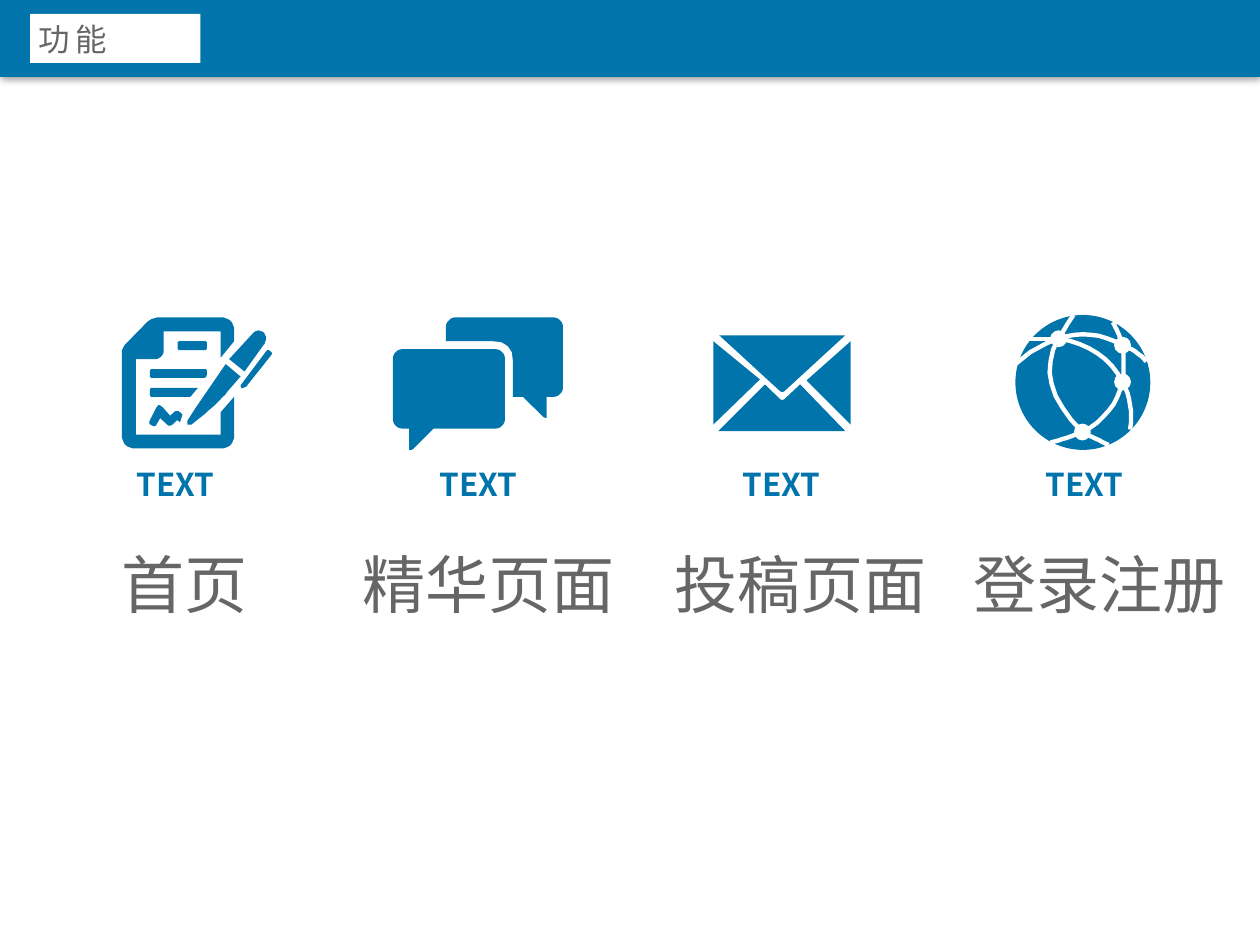
from lxml.etree import SubElement
from pptx import Presentation
from pptx.dml.color import RGBColor
from pptx.enum.shapes import MSO_SHAPE
from pptx.enum.text import MSO_ANCHOR, MSO_AUTO_SIZE as AUTO, PP_ALIGN
from pptx.oxml.ns import qn
from pptx.util import Cm, Pt

FONT = "Noto Sans CJK SC"
COLORS = {"blue": "0174AB", "white": "FFFFFF", "grey": "666666", "black": "000000"}
TITLE = {"size": Pt(18), "bold": False}
LABEL = {"size": Pt(18), "bold": True}
CAPTION = {"size": Pt(36), "bold": False}
CAPTIONS = [("首页", 2.21, 4.85), ("精华页面", 7.06, 6.86),
            ("投稿页面", 13.34, 6.12), ("登录注册", 19.38, 5.97)]

DOCUMENT = [
    [(4.45, 7.21), (4.45, 6.68), (3.3, 6.68), (3.3, 7.24, 0.2), (2.74, 7.24),
     (2.74, 8.76), (4.45, 8.76), (4.45, 8.31), (4.72, 8), (4.72, 9.04, 0.28),
     (2.46, 9.04, 0.28), (2.46, 7.01, 0.1), (3.06, 6.4, 0.15),
     (4.72, 6.4, 0.28), (4.72, 6.88)],
    [(4.55, 7.34), (4.85, 7.59), (4.39, 8.13, 0.3), (3.86, 8.56), (3.78, 8.56),
     (3.78, 8.48), (3.94, 8.23)],
    [(4.93, 7.49), (4.62, 7.24), (5.21, 6.6, 0.18), (5.42, 6.81, 0.18)],
    [(3.02, 7.44, 0.04), (4.17, 7.44, 0.04), (4.17, 7.62, 0.08), (3.02, 7.62, 0.04)],
    [(3.02, 7.82, 0.04), (3.99, 7.82), (3.84, 8), (3.02, 8, 0.04)],
    [(2.99, 8.53, 0.06), (3.2, 8.13, 0.1), (3.43, 8.38), (3.57, 8.26, 0.08),
     (3.68, 8.36), (3.63, 8.51), (3.57, 8.47), (3.42, 8.61, 0.08),
     (3.23, 8.43), (3.12, 8.62, 0.08)],
    [(4.85, 7.77), (5.4, 7.04, 0.06), (5.5, 7.12, 0.06), (4.96, 7.8), (4.87, 7.83)],
    [(3.58, 6.88, 0.04), (4.17, 6.88, 0.04), (4.17, 7.06, 0.04), (3.58, 7.06, 0.04)],
]
CHAT = [
    [(7.92, 7.04, 0.23), (10.18, 7.04, 0.23), (10.18, 8.64, 0.23), (8.74, 8.64),
     (8.31, 9.07, 0.03), (8.25, 9.07), (8.25, 8.64), (7.92, 8.64, 0.23)],
    [(11.02, 8), (11.02, 8.43), (10.96, 8.41), (10.54, 8), (10.34, 8),
     (10.34, 6.88, 0.4), (8.99, 6.88), (8.99, 6.4, 0.23), (11.35, 6.4, 0.23),
     (11.35, 8, 0.23)],
]
ENVELOPE = [
    [(14.5, 6.76), (17.04, 6.76), (15.77, 7.92, 0.05)],
    [(14.48, 8.69), (17.04, 8.69), (16.13, 7.75), (15.77, 8.08, 0.05), (15.42, 7.75)],
    [(14.38, 6.88), (15.32, 7.65), (14.38, 8.56)],
    [(17.15, 6.88), (16.26, 7.67), (17.15, 8.56)],
]
WEST, NORTH, EAST, SOUTH = NODES = [
    (21.34, 6.83), (22.63, 6.96), (22.63, 7.7), (21.82, 8.71)]
ARCS = [
    (WEST, (20.82, 7.72), SOUTH), (SOUTH, (22.48, 8.36), EAST),
    (WEST, (22.26, 6.97), EAST), (WEST, (22, 6.6), NORTH),
    (WEST, (20.85, 6.99), (20.47, 7.34)), (WEST, (21.04, 6.83), (20.75, 6.83)),
    (WEST, (21.48, 6.6), (21.64, 6.35)), (NORTH, (22.53, 6.65), (22.43, 6.5)),
    (NORTH, (22.91, 7.06), (23.11, 7.29)), (NORTH, (22.68, 7.37), EAST),
    (EAST, (22.86, 8.13), (22.78, 8.66)), (SOUTH, (21.5, 8.84), (21.18, 8.92)),
    (SOUTH, (22.08, 8.84), (22.35, 8.97)),
]


def rgb(name):
    """Return a palette colour."""
    return RGBColor.from_string(COLORS[name])


def paint(sp, color):
    """Give a shape a flat fill with no line or shadow."""
    sp.shadow.inherit = False
    sp.fill.solid()
    sp.fill.fore_color.rgb = rgb(color)
    sp.line.fill.background()


def add_preset(shapes, kind, box, color):
    """Add a flat preset shape."""
    sp = shapes.add_shape(kind, *map(Cm, box))
    paint(sp, color)
    return sp


def bend(a, c, b, steps=8):
    """Sample a quadratic curve from a to b with control point c."""
    ts = [i / steps for i in range(steps + 1)]
    return [tuple((1 - t) ** 2 * u + 2 * t * (1 - t) * v + t * t * w
                  for u, v, w in zip(a, c, b)) for t in ts]


def toward(a, b, dist):
    """Return the point that lies dist from a on the way to b."""
    dx, dy = b[0] - a[0], b[1] - a[1]
    k = dist / (dx * dx + dy * dy) ** 0.5
    return a[0] + k * dx, a[1] + k * dy


def rounded(corners):
    """Turn corners with optional radii into outline points."""
    pts = []
    for i, (x, y, *radius) in enumerate(corners):
        p, before, after = (x, y), corners[i - 1], corners[(i + 1) % len(corners)]
        if radius:
            pts += bend(toward(p, before, radius[0]), p, toward(p, after, radius[0]))
        else:
            pts.append(p)
    return pts


def draw(shapes, pts, close=True):
    """Build a freeform through points given in centimetres."""
    units = [(round(x * 100), round(y * 100)) for x, y in pts]
    fb = shapes.build_freeform(*units[0], scale=Cm(0.01))
    fb.add_line_segments(units[1:], close=close)
    return fb.convert_to_shape()


def add_icon(s, parts):
    """Add a group of blue outlines."""
    shapes = s.shapes.add_group_shape().shapes
    for corners in parts:
        paint(draw(shapes, rounded(corners)), "blue")


def add_globe(s):
    """Add a globe crossed by white arcs that meet at nodes."""
    shapes = s.shapes.add_group_shape().shapes
    add_preset(shapes, MSO_SHAPE.OVAL, (20.47, 6.35, 2.72, 2.72), "blue")
    for arc in ARCS:
        sp = draw(shapes, bend(*arc), close=False)
        sp.shadow.inherit = False
        sp.fill.background()
        sp.line.color.rgb = rgb("white")
        sp.line.width = Pt(2.5)
    for x, y in NODES:
        add_preset(shapes, MSO_SHAPE.OVAL, (x - 0.17, y - 0.17, 0.34, 0.34), "white")


def write(sp, text, fmt, color, align):
    """Write one formatted line and return its run."""
    tf = sp.text_frame
    for key, value in {"word_wrap": True, "auto_size": AUTO.SHAPE_TO_FIT_TEXT,
                       "vertical_anchor": MSO_ANCHOR.TOP}.items():
        setattr(tf, key, value)
    p = tf.paragraphs[0]
    p.alignment = align
    r = p.add_run()
    r.text = text
    for key, value in {**fmt, "name": FONT}.items():
        setattr(r.font, key, value)
    r.font.color.rgb = rgb(color)
    SubElement(r.font._element, qn("a:ea"), typeface=FONT)
    return r


def add_text(s, box, *content):
    """Add a text box with one line."""
    write(s.shapes.add_textbox(*map(Cm, box)), *content)


def add_header(s):
    """Add the shadowed bar, the white tab and the title."""
    bar = add_preset(s.shapes, MSO_SHAPE.RECTANGLE, (0, 0, 25.4, 1.55), "blue")
    shadow = SubElement(bar._element.spPr.find(qn("a:effectLst")), qn("a:outerShdw"),
                        blurRad=str(Pt(4)), dist=str(Pt(1)), dir="5400000")
    black = SubElement(shadow, qn("a:srgbClr"), val=COLORS["black"])
    SubElement(black, qn("a:alpha"), val="40000")
    add_preset(s.shapes, MSO_SHAPE.RECTANGLE, (0.61, 0.28, 3.43, 0.99), "white")
    title = s.shapes.title
    bar._element.getparent().append(title._element)
    for key, value in zip(("left", "top", "width", "height"), (0.53, 0.28, 3.61, 1.02)):
        setattr(title, key, Cm(value))
    r = write(title, "功能", TITLE, "grey", PP_ALIGN.LEFT)
    r.font._element.set("spc", "300")


def main():
    """Build and save the slide."""
    prs = Presentation()
    prs.slide_width, prs.slide_height = Cm(25.4), Cm(19.05)
    s = prs.slides.add_slide(prs.slide_layouts[5])
    add_header(s)
    for parts in (DOCUMENT, CHAT, ENVELOPE):
        add_icon(s, parts)
    add_globe(s)
    for i, (caption, left, width) in enumerate(CAPTIONS):
        add_text(s, (2.36 + 6.11 * i, 9.25, 2.36, 1.02), "TEXT", LABEL, "blue",
                 PP_ALIGN.CENTER)
        add_text(s, (left, 10.87, width, 1.8), caption, CAPTION, "grey",
                 PP_ALIGN.JUSTIFY)
    prs.save("out.pptx")


if __name__ == "__main__":
    main()
